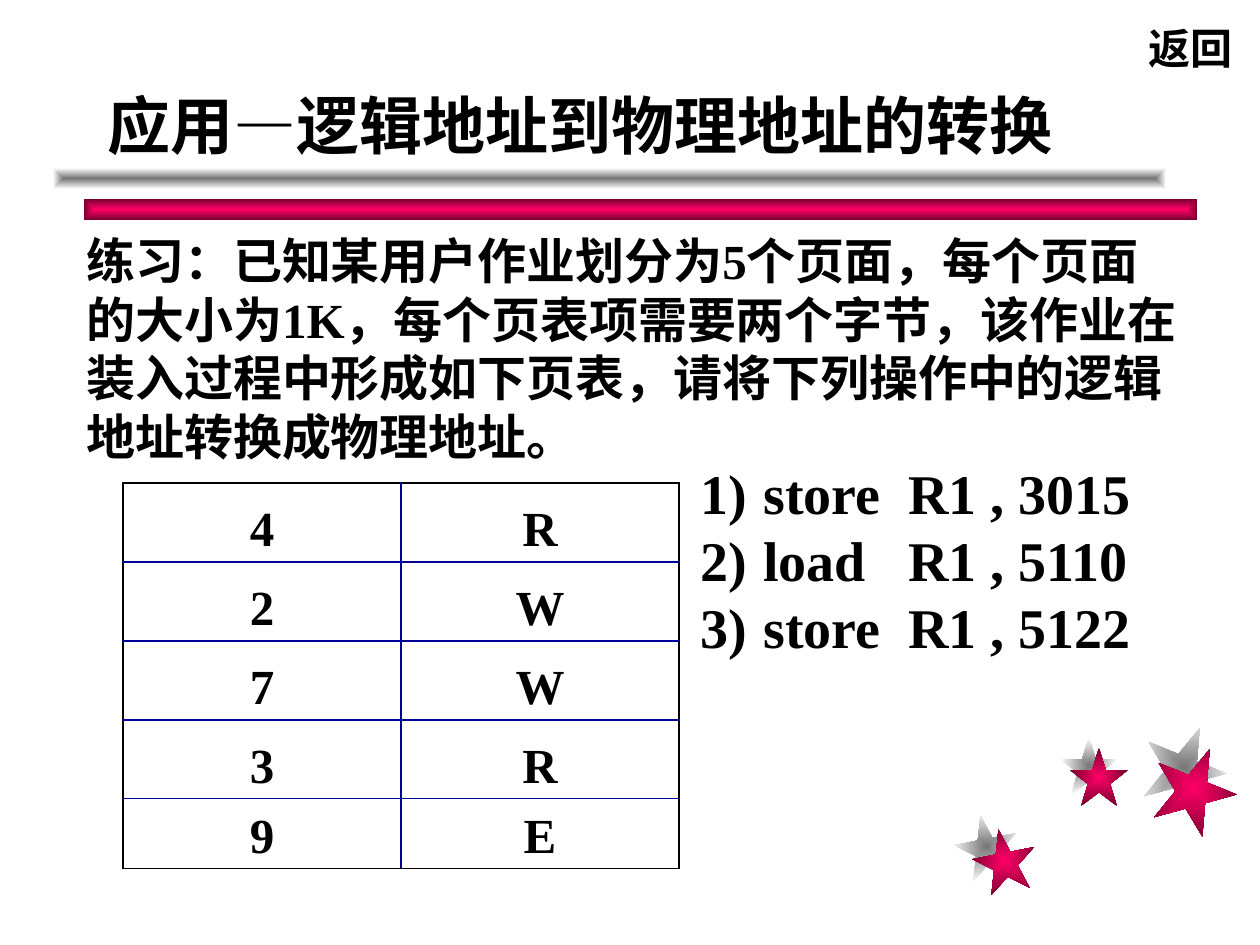
from lxml import etree
from pptx import Presentation
from pptx import util as u
from pptx.dml.color import RGBColor
from pptx.enum import shapes, text
from pptx.oxml import ns

BLACK = RGBColor(0x00, 0x00, 0x00)
NAVY = RGBColor(0x00, 0x00, 0x99)
PINK = (RGBColor(0xFF, 0x00, 0x66), RGBColor(0x76, 0x00, 0x2F))
GRAY = (RGBColor(0x76, 0x76, 0x76), RGBColor(0xFF, 0xFF, 0xFF))
SERIF = "Times New Roman"
SANS = "Arial"

STARS = [
    (GRAY, 955, 815, 63, -11),
    (GRAY, 1060, 737, 58, 0),
    (GRAY, 1142, 725, 84, 22),
    (PINK, 973, 829, 63, -11),
    (PINK, 1070, 748, 58, 0),
    (PINK, 1152, 746, 84, 22),
]
PAGE_TABLE = [("4", "R"), ("2", "W"), ("7", "W"), ("3", "R"), ("9", "E")]
ROW_HEIGHTS = [79, 79, 79, 79, 70]
OPERATIONS = ["store\tR1 , 3015", "load\tR1 , 5110", "store\tR1 , 5122"]
EXERCISE = (
    "练习：已知某用户作业划分为5个页面，每个页面的大小为1K，每个页表项需要两个字节，"
    "该作业在装入过程中形成如下页表，请将下列操作中的逻辑地址转换成物理地址。"
)


def px(count):
    return u.Emu(round(count * 914400 / 126))


def add_element(parent, tag, **attributes):
    element = etree.SubElement(parent, ns.qn(tag))
    for name, value in attributes.items():
        element.set(name, str(value))
    return element


def add_glow(page, kind, colors, left, top, width, height, angle=0):
    shape = page.shapes.add_shape(kind, px(left), px(top), px(width), px(height))
    shape.rotation = angle
    shape.shadow.inherit = False
    shape.line.fill.background()
    shape.fill.gradient()
    for stop, color, position in zip(shape.fill.gradient_stops, colors, (0, 1)):
        stop.color.rgb = color
        stop.position = position
    gradient = shape._element.spPr.find(ns.qn("a:gradFill"))
    gradient.remove(gradient.find(ns.qn("a:lin")))
    center = add_element(gradient, "a:path", path="rect")
    add_element(center, "a:fillToRect", l=50000, t=50000, r=50000, b=50000)


def style(para, size, font=SERIF):
    para.font.size = u.Pt(size)
    para.font.name = font
    para.font.bold = True
    para.font.color.rgb = BLACK


def add_text(page, content, left, top, width, height, size, font=SERIF,
             anchor=text.MSO_ANCHOR.TOP):
    box = page.shapes.add_textbox(px(left), px(top), px(width), px(height))
    frame = box.text_frame
    frame.word_wrap = True
    frame.vertical_anchor = anchor
    frame.text = content
    for para in frame.paragraphs:
        for span in para.runs:
            style(span, size, font)
    return box


def add_operations(page):
    box = add_text(page, "\n".join(OPERATIONS), 688, 452, 467, 214, 32)
    for para in box.text_frame.paragraphs:
        properties = para._p.get_or_add_pPr()
        properties.set("marL", str(px(63)))
        properties.set("indent", str(px(-63)))
        add_element(properties, "a:buFont", typeface=SERIF)
        add_element(properties, "a:buAutoNum", type="arabicParenR")
        tabs = add_element(properties, "a:tabLst")
        for stop in (145, 208):
            add_element(tabs, "a:tab", pos=px(stop), algn="l")
        style(para, 32)


def add_border(cell, side, color):
    line = add_element(cell._tc.get_or_add_tcPr(), f"a:ln{side}", w=u.Pt(0.75))
    add_element(add_element(line, "a:solidFill"), "a:srgbClr", val=color)


def fill_cell(cell, content, edges):
    for side, is_outer in edges.items():
        add_border(cell, side, BLACK if is_outer else NAVY)
    cell.fill.background()
    cell.margin_top = cell.margin_bottom = px(5)
    cell.vertical_anchor = text.MSO_ANCHOR.BOTTOM
    cell.text = content
    para = cell.text_frame.paragraphs[0]
    para.alignment = text.PP_ALIGN.CENTER
    style(para, 28)


def add_page_table(page):
    rows, columns = len(PAGE_TABLE), len(PAGE_TABLE[0])
    frame = page.shapes.add_table(
        rows, columns, px(123), px(483), px(556), px(sum(ROW_HEIGHTS)))
    table = frame.table
    table.first_row = False
    table.horz_banding = False
    for row, height in zip(table.rows, ROW_HEIGHTS):
        row.height = px(height)
    for i, entry in enumerate(PAGE_TABLE):
        for j, content in enumerate(entry):
            edges = {"L": j == 0, "R": j == columns - 1,
                     "T": i == 0, "B": i == rows - 1}
            fill_cell(table.cell(i, j), content, edges)


def main():
    deck = Presentation()
    deck.slide_width, deck.slide_height = px(1260), px(945)
    page = deck.slides.add_slide(deck.slide_layouts[6])
    for colors, left, top, size, angle in STARS:
        add_glow(page, shapes.MSO_SHAPE.STAR_5_POINT, colors,
                 left, top, size, size, angle)
    for colors, left, top in ((PINK, 84, 199), (GRAY, 53, 168)):
        add_glow(page, shapes.MSO_SHAPE.RECTANGLE, colors, left, top, 1113, 21)
    add_text(page, EXERCISE, 74, 224, 1121, 662, 28)
    add_text(page, "应用—逻辑地址到物理地址的转换", 95, 63, 1071, 105, 36,
             SANS, text.MSO_ANCHOR.BOTTOM)
    add_page_table(page)
    add_operations(page)
    add_text(page, "返回", 1136, 16, 116, 63, 24)
    deck.save("out.pptx")


if __name__ == "__main__":
    main()
